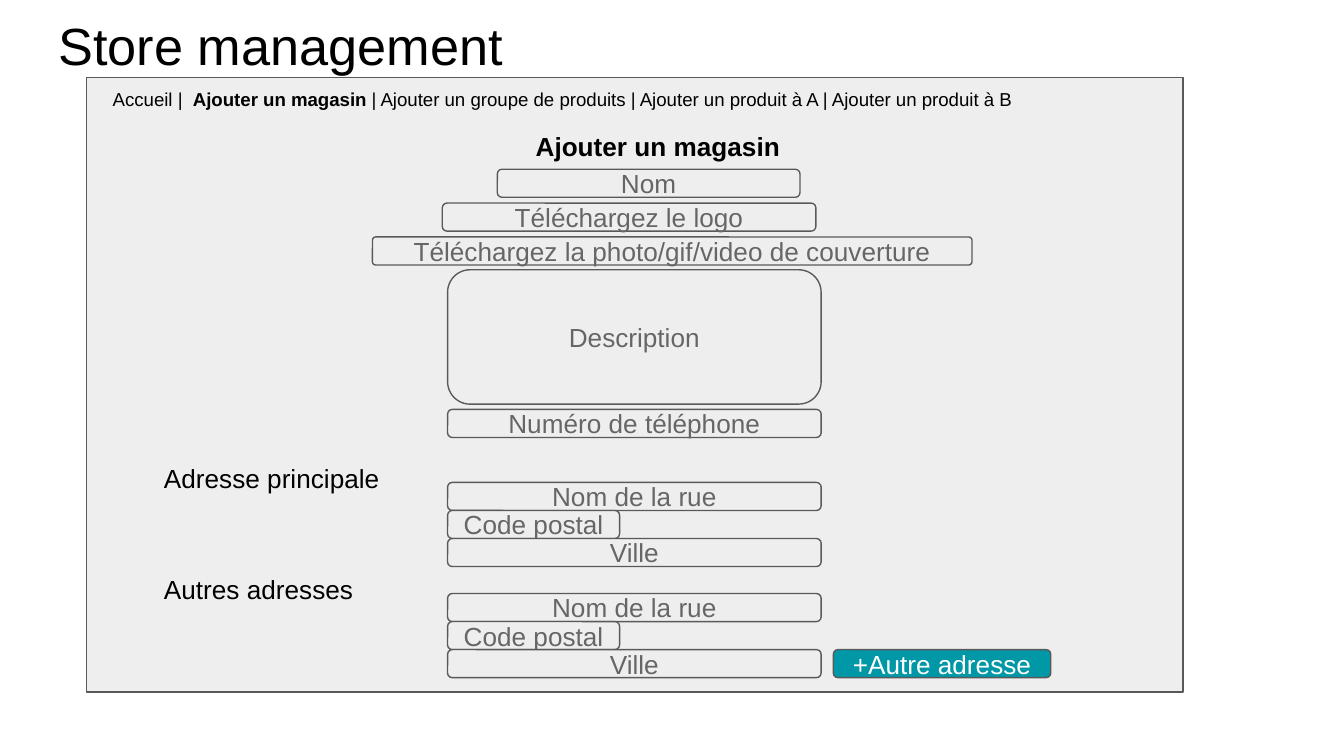
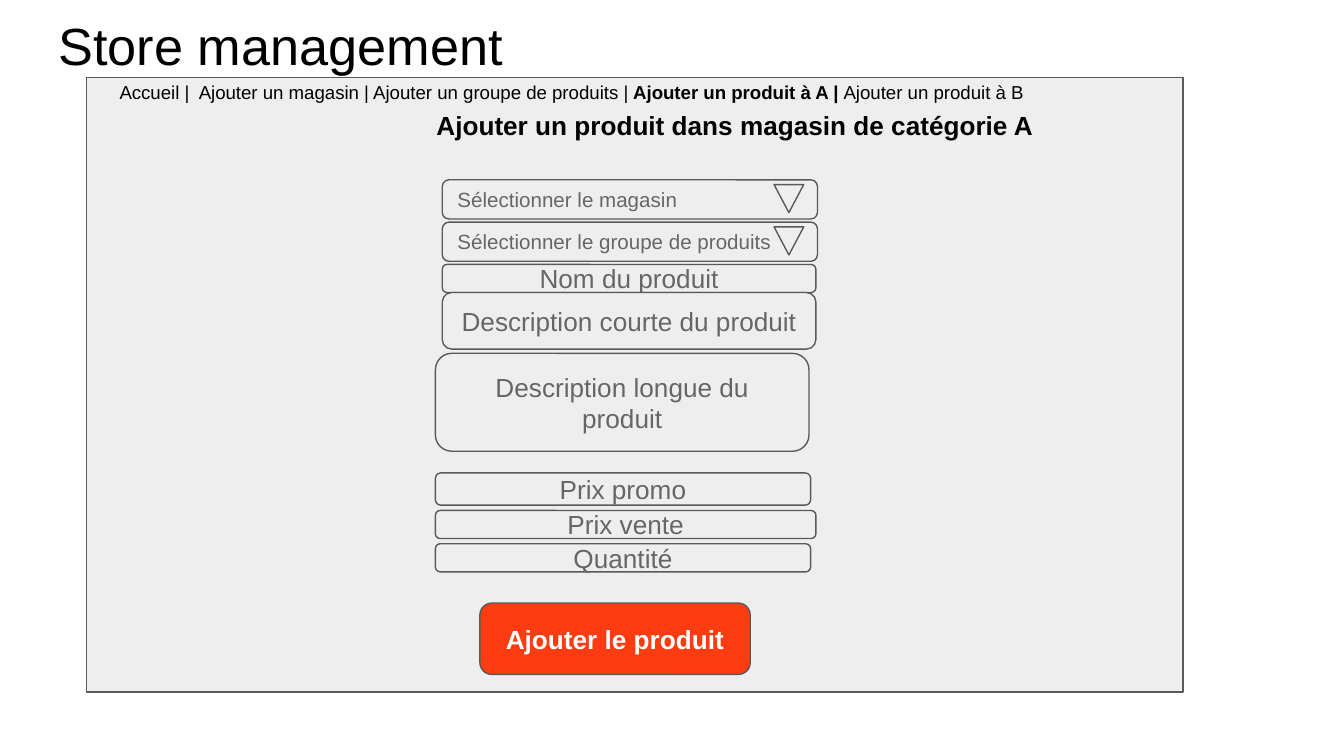
from dataclasses import dataclass

from pptx import Presentation
from pptx.dml.color import RGBColor
from pptx.enum.shapes import MSO_SHAPE
from pptx.enum.text import MSO_ANCHOR, PP_ALIGN
from pptx.util import Cm, Pt


@dataclass(frozen=True)
class Theme:
    font: str = "Arial"
    ink: str = "000000"
    hint: str = "666666"
    edge: str = "595959"
    panel: str = "EEEEEE"
    teal: str = "0097A7"
    red: str = "FD3C12"
    white: str = "FFFFFF"
    title: int = 28
    body: int = 14
    pick: int = 11
    nav: int = 10
    line: float = 0.75
    inset: float = 0.25


@dataclass(frozen=True)
class Box:
    x: float
    y: float
    w: float
    h: float

    def at(self, x, y, w, h):
        """Return a box placed from this box's top left corner."""
        return Box(self.x + x, self.y + y, w, h)

    def size(self):
        return [Cm(v) for v in (self.x, self.y, self.w, self.h)]


T = Theme()
PANEL = Box(1.63, 1.47, 20.73, 11.61)
ROW = 0.53   # height of a one-line field
WIDE = 7.06  # width of a usual field


def write(shape, text, size=T.body, color=T.ink, bold=False,
          align=PP_ALIGN.LEFT, anchor=MSO_ANCHOR.MIDDLE):
    """Fill a shape with text; a part between asterisks switches bold."""
    frame = shape.text_frame
    frame.word_wrap = True
    frame.vertical_anchor = anchor
    frame.margin_left = frame.margin_right = Cm(T.inset)
    frame.margin_top = frame.margin_bottom = Cm(T.inset)
    par = frame.paragraphs[0]
    par.alignment = align
    for i, part in enumerate(text.split("*")):
        run = par.add_run()
        run.text = part
        run.font.name = T.font
        run.font.size = Pt(size)
        run.font.bold = bold != (i % 2 == 1)
        run.font.color.rgb = RGBColor.from_string(color)


def label(shapes, box, text, **form):
    write(shapes.add_textbox(*box.size()), text, **form)


def draw(shapes, box, kind, fill=T.panel):
    shape = shapes.add_shape(kind, *box.size())
    shape.shadow.inherit = False
    shape.fill.solid()
    shape.fill.fore_color.rgb = RGBColor.from_string(fill)
    shape.line.color.rgb = RGBColor.from_string(T.edge)
    shape.line.width = Pt(T.line)
    return shape


def field(shapes, box, text, fill=T.panel, round=0.167, **form):
    shape = draw(shapes, box, MSO_SHAPE.ROUNDED_RECTANGLE, fill)
    shape.adjustments[0] = round
    write(shape, text, **{"color": T.hint, "align": PP_ALIGN.CENTER, **form})


def select(shapes, box, text):
    """Draw a drop-down field with its arrow."""
    group = shapes.add_group_shape().shapes
    field(group, box, text, size=T.pick, align=PP_ALIGN.LEFT)
    draw(group, box.at(6.27, 0.09, 0.56, ROW), MSO_SHAPE.FLOWCHART_MERGE)


def address(shapes, box, text):
    group = shapes.add_group_shape().shapes
    label(group, box.at(0, 0, 5.16, 0.36), text, anchor=MSO_ANCHOR.TOP)
    rows = [("Nom de la rue", WIDE), ("Code postal", 3.25), ("Ville", WIDE)]
    for i, (name, w) in enumerate(rows):
        field(group, box.at(5.61, 0.49 + i * ROW, w, ROW), name)


def frame(deck, nav, spot, head, place):
    """Add a slide with title, panel, menu and heading; return its shapes."""
    shapes = deck.slides.add_slide(deck.slide_layouts[6]).shapes
    label(shapes, Box(0.86, 0, 23.67, 1.6), "Store management",
          size=T.title, anchor=MSO_ANCHOR.TOP)
    draw(shapes, PANEL, MSO_SHAPE.RECTANGLE)
    label(shapes, PANEL.at(*spot, 20.22, ROW), nav, size=T.nav)
    label(shapes, PANEL.at(*place), head, bold=True, align=PP_ALIGN.CENTER)
    return shapes


def store(deck, box):
    shapes = frame(
        deck,
        "Accueil |  *Ajouter un magasin *| Ajouter un groupe de produits | "
        "Ajouter un produit à A | Ajouter un produit à B",
        (0.25, 0.13), "Ajouter un magasin", (7.72, 0.86, 6.17, 0.86))
    tops = [
        ("Nom", 7.77, 5.72, 0.167),
        ("Téléchargez le logo", 6.73, WIDE, 0.167),
        ("Téléchargez la photo/gif/video de couverture", 5.41, 11.33, 0.115),
    ]
    for i, (text, x, w, curve) in enumerate(tops):
        field(shapes, box.at(x, 1.73 + i * 0.64, w, ROW), text, round=curve)
    field(shapes, box.at(6.83, 3.63, WIDE, 2.54), "Description")
    field(shapes, box.at(6.83, 6.27, WIDE, ROW), "Numéro de téléphone")
    for i, text in enumerate(["Adresse principale", "Autres adresses"]):
        address(shapes, box.at(1.22, 7.16 + i * 2.1, 12.67, 2.08), text)
    field(shapes, box.at(14.12, 10.81, 4.11, ROW), "+Autre adresse",
          fill=T.teal, color=T.white)


def product(deck, box):
    shapes = frame(
        deck,
        "Accueil |  Ajouter un magasin | Ajouter un groupe de produits | "
        "*Ajouter un produit à A | *Ajouter un produit à B",
        (0.38, 0), "Ajouter un produit dans magasin de catégorie A",
        (5.94, 0.53, 12.65, 0.74))
    picks = ["Sélectionner le magasin", "Sélectionner le groupe de produits"]
    for i, text in enumerate(picks):
        select(shapes, box.at(6.73, 1.93 + i * 0.8, 7.09, 0.74), text)
    rows = [
        ("Nom du produit", 6.73, 3.53, WIDE, ROW),
        ("Description courte du produit", 6.73, 4.06, WIDE, 1.07),
        ("Description longue du produit", 6.6, 5.21, WIDE, 1.85),
        ("Prix promo", 6.6, 7.47, 7.09, 0.61),
        ("Prix vente", 6.6, 8.18, 7.19, ROW),
        ("Quantité", 6.6, 8.81, 7.09, ROW),
    ]
    for text, *place in rows:
        field(shapes, box.at(*place), text)
    field(shapes, box.at(7.44, 9.93, 5.11, 1.35), "Ajouter le produit",
          fill=T.red, color=T.white, bold=True)


def main():
    deck = Presentation()
    deck.slide_width, deck.slide_height = Cm(25.4), Cm(14.29)
    store(deck, PANEL)
    product(deck, PANEL)
    deck.save("out.pptx")


if __name__ == "__main__":
    main()
